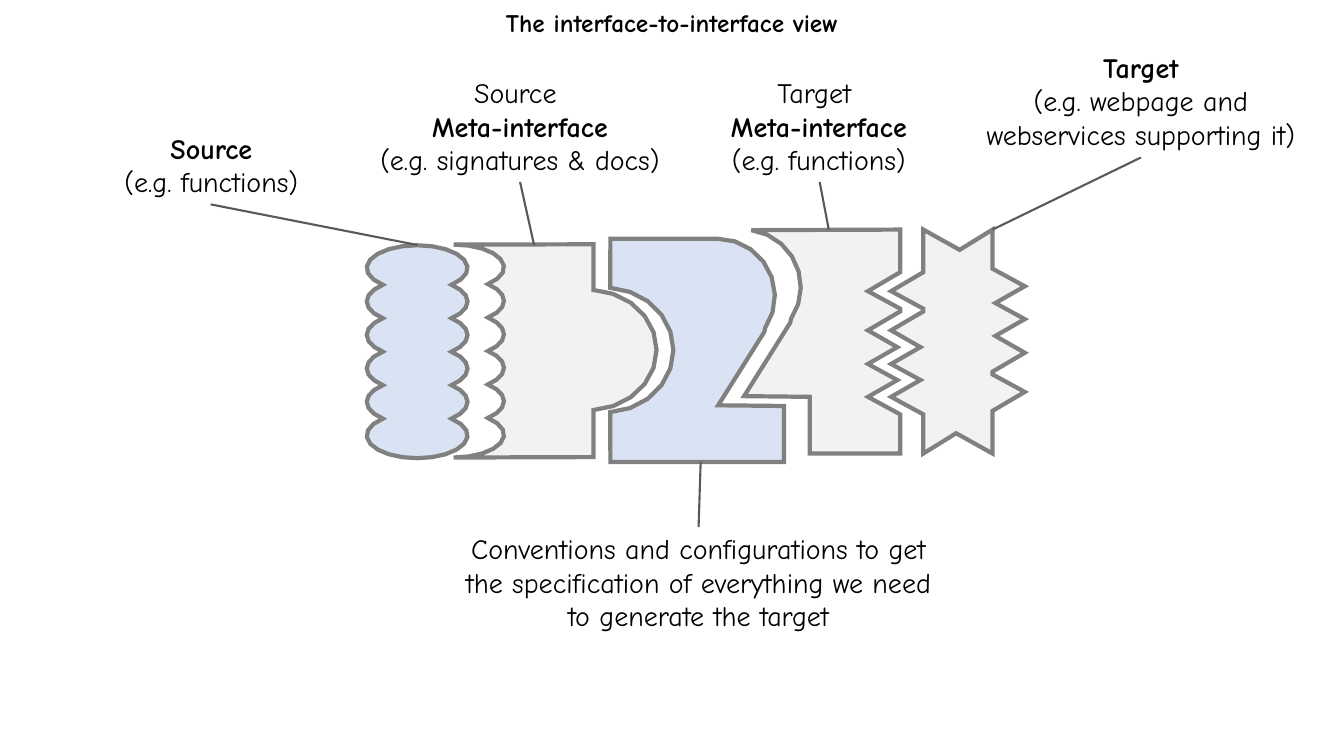
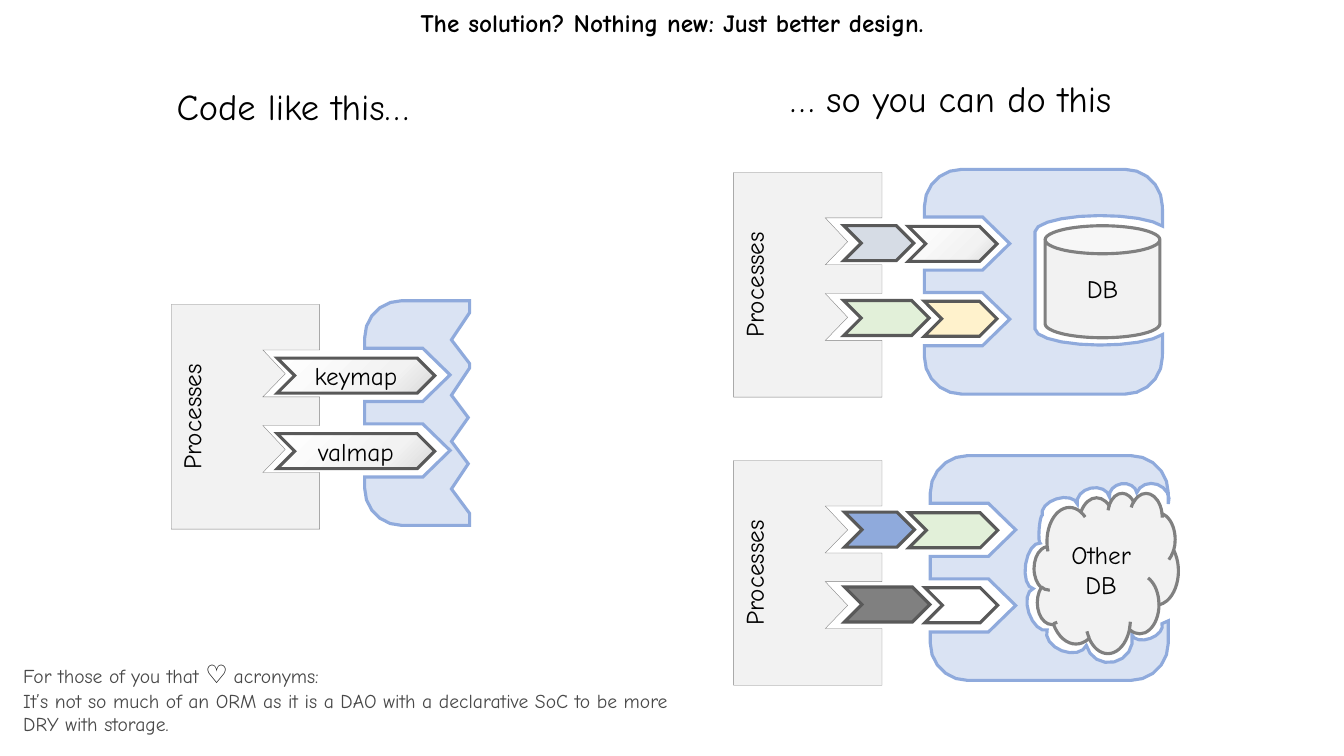
from copy import deepcopy
from dataclasses import dataclass
from math import asin, ceil, cos, degrees, hypot, pi, radians, sin

from lxml.etree import SubElement
from pptx import Presentation
from pptx.dml.color import RGBColor
from pptx.enum.shapes import MSO_CONNECTOR as Connector, MSO_SHAPE as Preset
from pptx.enum.text import MSO_ANCHOR as Anchor, MSO_AUTO_SIZE as AutoSize, PP_ALIGN as Align
from pptx.oxml.ns import qn
from pptx.util import Pt


@dataclass(frozen=True)
class Theme:
    """Colours, fonts, type sizes and line widths of the deck."""
    font: str = "Comic Neue"
    symbol_font: str = "Calibri"
    ink: str = "000000"
    note_ink: str = "484848"
    white: str = "FFFFFF"
    pale_gray: str = "F2F2F2"
    gray: str = "808080"
    dark_gray: str = "595959"
    slate: str = "D6DCE5"
    pale_blue: str = "DAE3F3"
    blue: str = "8FAADC"
    green: str = "E2F0D9"
    yellow: str = "FFF2CC"
    sheen: tuple = ((0, "D9D9D9"), (0.3, "F2F2F2"), (1, "FFFFFF"))
    note_size: float = 14
    title_size: float = 18
    label_size: float = 20
    heading_size: float = 26
    hairline: float = 0.25
    thin: float = 1.5
    medium: float = 2.25
    thick: float = 3


@dataclass(frozen=True)
class Span:
    """A piece of text in one style."""
    text: str
    size: float
    bold: bool = False
    color: str = Theme.ink
    font: str = Theme.font


THEME = Theme()
WIDTH, HEIGHT = 960, 540
TILE_HEIGHT, TILE_CORNER = 160.5, 26.5
ROW_GAP = 54
LOBE_WIDTH, LOBE_HEIGHT, LOBE_GAP, LOBE_COUNT = 36, 16.3, 23.9, 6
ARC_STEP = 18


def shift(points, dx, dy):
    """Move points by an offset."""
    return [(x + dx, y + dy) for x, y in points]


def turn(points, center_x, center_y):
    """Rotate points by half a turn about a center."""
    return [(2 * center_x - x, 2 * center_y - y) for x, y in points]


def arc(center_x, center_y, radius_x, radius_y, start, end):
    """Return points on an ellipse, angles in degrees clockwise from the right."""
    steps = ceil(abs(end - start) / ARC_STEP)
    angles = [radians(start + (end - start) * step / steps) for step in range(steps + 1)]
    return [(center_x + radius_x * cos(a), center_y + radius_y * sin(a)) for a in angles]


def bump(start, end, depth, steps=8):
    """Return a half ellipse bulging from the chord, without its first point."""
    dx, dy = end[0] - start[0], end[1] - start[1]
    length = hypot(dx, dy)
    points = []
    for step in range(1, steps + 1):
        angle = pi * step / steps
        along, out = (1 - cos(angle)) / 2, depth * sin(angle) / length
        points.append((start[0] + dx * along - dy * out, start[1] + dy * along + dx * out))
    return points


def lobes(center_x, first_y):
    """Return the scalloped right edge of a stack of ellipses, downwards."""
    notch = degrees(asin(LOBE_GAP / 2 / LOBE_HEIGHT))
    points = []
    for index in range(LOBE_COUNT):
        start = -90 if index == 0 else -notch
        end = 90 if index == LOBE_COUNT - 1 else notch
        edge = arc(center_x, first_y + index * LOBE_GAP, LOBE_WIDTH, LOBE_HEIGHT, start, end)
        points += edge if index == 0 else edge[1:]
    return points


def neck(start):
    """Return the curve, slant and ledge shared by the two middle pieces."""
    return arc(512.5, 211.5, 41, 41, start, 34) + [(546, 237), (513, 289.5), (560, 290)]


def teeth(x):
    """Return a jagged edge pointing left, downwards."""
    offsets = [(0, 164), (0, 194.5), (-23, 208), (0, 220.5), (0, 222.5), (-23, 236), (-2, 248),
               (-23, 260), (-2, 271.5), (-23, 283.5), (0, 296), (0, 324)]
    return shift(offsets, x, 0)


def write(frame, lines, align=Align.CENTER, anchor=Anchor.MIDDLE):
    """Fill a text frame with one paragraph for each list of spans."""
    frame.word_wrap = True
    frame.vertical_anchor = anchor
    for index, spans in enumerate(lines):
        para = frame.paragraphs[0] if index == 0 else frame.add_paragraph()
        para.alignment = align
        for span in spans:
            for part_index, part in enumerate(span.text.split("\n")):
                if part_index:
                    para.add_line_break()
                run = para.add_run()
                run.text = part
                run.font.name, run.font.size, run.font.bold = span.font, Pt(span.size), span.bold
                run.font.color.rgb = RGBColor.from_string(span.color)


def add_text(page, x, y, width, height, lines, align=Align.CENTER):
    """Add a text box."""
    box = page.shapes.add_textbox(Pt(x), Pt(y), Pt(width), Pt(height))
    write(box.text_frame, lines, align, Anchor.TOP)
    box.text_frame.auto_size = AutoSize.SHAPE_TO_FIT_TEXT


def paint(shape, fill, line, width):
    """Set a solid or gradient fill and a mitred outline, without shadow."""
    shape.shadow.inherit = False
    if isinstance(fill, tuple):
        shape.fill.gradient()
        shape.fill.gradient_angle = 135
        stop_list = shape.element.spPr.find(".//" + qn("a:gsLst"))
        while len(stop_list) < len(fill):
            stop_list.append(deepcopy(stop_list[-1]))
        for stop, (position, color) in zip(shape.fill.gradient_stops, fill):
            stop.position = position
            stop.color.rgb = RGBColor.from_string(color)
    else:
        shape.fill.solid()
        shape.fill.fore_color.rgb = RGBColor.from_string(fill)
    shape.line.color.rgb = RGBColor.from_string(line)
    shape.line.width = Pt(width)
    SubElement(shape.element.spPr.find(qn("a:ln")), qn("a:miter"), lim="800000")


def add_outline(page, points, fill, line, width):
    """Add a closed freeform through the points."""
    corners = [(Pt(x), Pt(y)) for x, y in points]
    builder = page.shapes.build_freeform(*corners[0], scale=1.0)
    builder.add_line_segments(corners[1:], close=True)
    shape = builder.convert_to_shape()
    paint(shape, fill, line, width)
    return shape


def add_preset(page, preset, x, y, width, height, fill, line, words=()):
    """Add a preset shape with optional centred lines of text."""
    shape = page.shapes.add_shape(preset, Pt(x), Pt(y), Pt(width), Pt(height))
    paint(shape, fill, line, THEME.medium)
    if words:
        write(shape.text_frame, [[Span(word, THEME.title_size)] for word in words])


def add_leader(page, start, end):
    """Add a thin line from a label to its piece."""
    ends = [Pt(value) for value in (*start, *end)]
    leader = page.shapes.add_connector(Connector.STRAIGHT, *ends)
    leader.line.color.rgb = RGBColor.from_string(THEME.dark_gray)
    leader.line.width = Pt(THEME.thin)
    SubElement(leader.element.spPr, qn("a:effectLst"))


def add_page(deck, title):
    """Add a blank slide with the shared title."""
    page = deck.slides.add_slide(deck.slide_layouts[6])
    add_text(page, 0, 1.5, WIDTH, 29, [[Span(title, THEME.title_size, True)]])
    return page


def add_label(page, x, y, width, words, bold_line=None):
    """Add a label with at most one bold line."""
    lines = [[Span(word, THEME.label_size, index == bold_line)] for index, word in enumerate(words)]
    add_text(page, x, y, width, 80, lines)


def add_arrow(page, x, y, width, fill, words=()):
    """Add a chevron of the common height."""
    add_preset(page, Preset.CHEVRON, x, y, width, 25, fill, THEME.dark_gray, words)


def add_processes(page, x, y):
    """Add the panel with two notches and upright text."""
    notch = [(106, 32.5), (65.5, 32.5), (81.5, 49.5), (65.5, 66), (106, 66)]
    points = [(0, 0), (106, 0), *notch, *shift(notch, 0, ROW_GAP), (106, TILE_HEIGHT), (0, TILE_HEIGHT)]
    panel = add_outline(page, shift(points, x, y), THEME.pale_gray, THEME.gray, THEME.hairline)
    write(panel.text_frame, [[Span("Processes", THEME.title_size)]], anchor=Anchor.TOP)
    panel.element.txBody.bodyPr.set("vert", "vert270")


def add_adapter(page, x, y, right_edge):
    """Add the blue tile with two arrow sockets and a given right edge."""
    radius, low = TILE_CORNER, TILE_HEIGHT - TILE_CORNER
    socket = [(0, 72), (41.5, 72), (61, 53), (41.5, 34), (0, 34)]
    points = (arc(radius, radius, radius, radius, 180, 270) + right_edge
              + arc(radius, low, radius, radius, 90, 180) + shift(socket, 0, ROW_GAP) + socket)
    add_outline(page, shift(points, x, y), THEME.pale_blue, THEME.blue, THEME.medium)


def rounded_right(bay):
    """Return a right edge with round corners around a bay."""
    radius, x = TILE_CORNER, 170 - TILE_CORNER
    return (arc(x, radius, radius, radius, -90, 0) + bay
            + arc(x, TILE_HEIGHT - radius, radius, radius, 0, 90))


def can_bay():
    """Return the bay that holds the database cylinder."""
    return arc(126, 44.5, 47, 11.5, -20, -180) + arc(126, 114, 47, 11.5, 180, 20)


def cloud_bay():
    """Return the bay that holds the cloud."""
    start = (170, 34.5)
    points = [start]
    for x, y, depth in [(147.5, 26.5, 10.5), (128, 29.5, 8), (105, 34.5, 9), (80, 42.5, 8),
                        (78.5, 62.5, 1.5), (73.5, 95, 8), (83.5, 124.5, 8.5),
                        (111.5, 135.5, 10), (144, 128, 16), (165.5, 120, 7)]:
        points += bump(start, (x, y), depth)
        start = (x, y)
    return points + [(170, 118)]


def add_pipelines(page, x, y, fills):
    """Add two rows of two arrows."""
    places = [(0, 0, 50), (46, 0.5, 63.5), (0, 53.5, 61), (57.5, 54, 52)]
    for (dx, dy, width), fill in zip(places, fills):
        add_arrow(page, x + dx, y + dy, width, fill)


def build_interface_page(deck):
    """Build the slide of interlocking pieces."""
    page = add_page(deck, "The interface-to-interface view")
    bean = lobes(298, 191.5)
    source_meta = ([(424, 174.5)] + arc(420.5, 250, 48.5, 43, -86, 86)
                   + [(424, 326.5)] + lobes(324, 191)[::-1])
    conventions = ([(436, 170.5)] + neck(-90) + [(560, 330), (436, 330)]
                   + arc(432.5, 250, 48.5, 44.5, 86, -86))
    target_meta = teeth(643) + [(578.5, 324)] + shift(neck(-82), 18.5, -6.5)[::-1]
    star_half = teeth(659.5) + [(683, 309.5)]
    for points, fill in [
        (source_meta, THEME.pale_gray),
        (target_meta, THEME.pale_gray),
        (conventions, THEME.pale_blue),
        (bean + turn(bean, 298, 251.25), THEME.pale_blue),
        (star_half + turn(star_half, 684.25, 244), THEME.pale_gray),
    ]:
        add_outline(page, points, fill, THEME.gray, THEME.thick)
    add_label(page, 77.5, 90.3, 147, ["Source", "(e.g. functions)"], 0)
    add_label(page, 256.5, 50.5, 230, ["Source ", "Meta-interface", "(e.g. signatures & docs)"], 1)
    add_label(page, 492.5, 50.5, 185, ["Target ", "Meta-interface", "(e.g. functions)"], 1)
    add_label(page, 683.5, 32.3, 263, ["Target", "(e.g. webpage and webservices supporting it)"], 0)
    add_label(page, 319, 376.3, 360, ["Conventions and configurations to get the specification "
                                      "of everything we need to generate the target"])
    for start, end in [((371.5, 130), (381.5, 175)), ((150.5, 146), (298, 175)),
                       ((499, 376.5), (500.5, 330)), ((815, 112.5), (709, 164)),
                       ((585.5, 130), (592, 164))]:
        add_leader(page, start, end)


def build_solution_page(deck):
    """Build the slide of processes and storage adapters."""
    page = add_page(deck, "The solution? Nothing new: Just better design.")
    jagged = [(75, 0), (75, 8.5), (62, 28), (75, 45), (75, 48), (62, 67.5), (74, 83.5),
              (62, 100.5), (74, 116.5), (62, 134.5), (75, 152), (75, TILE_HEIGHT)]
    for x, y, right_edge in [(260.5, 214.8, jagged), (660.3, 121, rounded_right(can_bay())),
                             (664.5, 325.5, rounded_right(cloud_bay()))]:
        add_adapter(page, x, y, right_edge)
    add_preset(page, Preset.CAN, 746.5, 161.3, 82, 80, THEME.pale_gray, THEME.gray, ["DB"])
    add_preset(page, Preset.CLOUD, 738.7, 352, 103, 114.5, THEME.pale_gray, THEME.gray,
               ["Other", "DB"])
    for x, y in [(122.3, 217.5), (524, 123.2), (524, 329)]:
        add_processes(page, x, y)
    for row, name in enumerate(["keymap", "valmap"]):
        add_arrow(page, 198, 255.8 + row * ROW_GAP, 112.5, THEME.sheen, [name])
    add_pipelines(page, 602.7, 161.2, [THEME.slate, THEME.sheen, THEME.green, THEME.yellow])
    add_pipelines(page, 603.2, 365.8, [THEME.blue, THEME.green, THEME.gray, THEME.white])
    for x, y, words in [(119, 56.7, "Code like this…"), (557.3, 51, "… so you can do this")]:
        add_text(page, x, y, 270.5, 39, [[Span(words, THEME.heading_size)]], Align.LEFT)
    note = {"size": THEME.note_size, "color": THEME.note_ink}
    heart = Span("♡ ", THEME.title_size, font=THEME.symbol_font)
    add_text(page, 9.5, 466.7, 480, 63.5, [[
        Span("For those of you that ", **note), heart,
        Span("acronyms:\nIt’s not so much of an ORM as it is a DAO with a declarative SoC "
             "to be more DRY with storage.", **note),
    ]], Align.LEFT)


def main():
    """Build and save the deck."""
    deck = Presentation()
    deck.slide_width, deck.slide_height = Pt(WIDTH), Pt(HEIGHT)
    build_interface_page(deck)
    build_solution_page(deck)
    deck.save("out.pptx")


if __name__ == "__main__":
    main()
